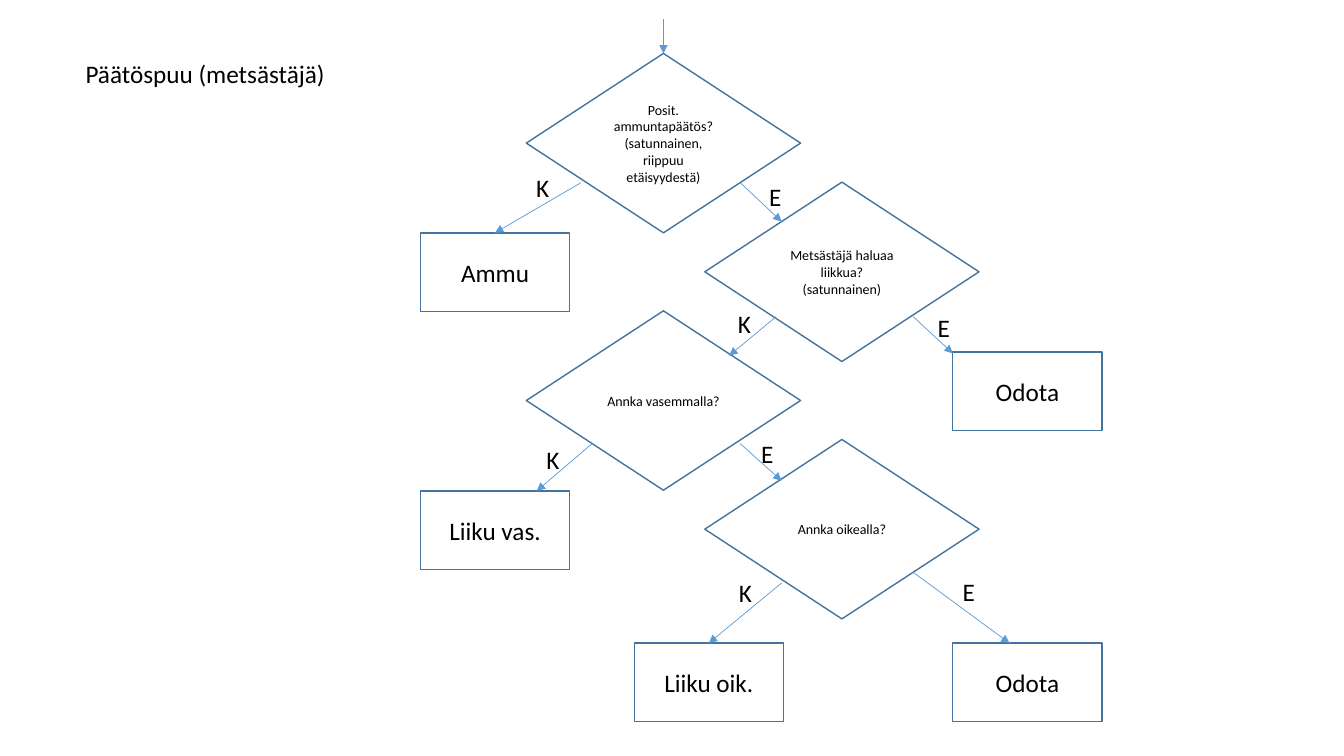
import pptx
import pptx.util
import pptx.dml.color
import pptx.enum.shapes
import pptx.enum.text
import pptx.oxml.ns
import lxml.etree

# Content
TITLE = "Päätöspuu (metsästäjä)"
FONT = "Calibri"
COLORS = {"text": "000000", "outline": "43739E", "arrow": "5B9BD5"}

# Questions: text, grid column, grid row
QUESTIONS = {
    "shoot?": ("Posit. ammuntapäätös? (satunnainen, riippuu etäisyydestä)", 0, 0),
    "move?": ("Metsästäjä haluaa liikkua? (satunnainen)", 1, 1),
    "left?": ("Annka vasemmalla?", 0, 2),
    "right?": ("Annka oikealla?", 1, 3),
}
# Actions: text, left, top
ACTIONS = {
    "shoot": ("Ammu", 4.17, 2.31),
    "go left": ("Liiku vas.", 4.17, 4.87),
    "go right": ("Liiku oik.", 6.29, 6.38),
    "wait early": ("Odota", 9.45, 3.49),
    "wait late": ("Odota", 9.45, 6.38),
}
# Branches: answer, label place, start node and end node,
# each node with the arrow's place as shares of its width and height
BRANCHES = [
    ("K", (5.22, 1.66), ("shoot?", 0.20, 0.72), ("shoot", 0.50, 0)),
    ("E", (7.53, 1.75), ("shoot?", 0.78, 0.72), ("move?", 0.28, 0.22)),
    ("K", (7.22, 3.01), ("move?", 0.26, 0.75), ("left?", 0.74, 0.25)),
    ("E", (9.20, 3.05), ("move?", 0.76, 0.75), ("wait early", 0, 0.02)),
    ("K", (5.32, 4.36), ("left?", 0.24, 0.74), ("go left", 0.78, 0)),
    ("E", (7.45, 4.30), ("left?", 0.78, 0.74), ("right?", 0.28, 0.23)),
    ("K", (7.23, 5.68), ("right?", 0.28, 0.80), ("go right", 0.50, 0)),
    ("E", (9.45, 5.67), ("right?", 0.76, 0.74), ("wait late", 0.38, 0)),
]

# Grid
GRID_LEFT, GRID_TOP = 5.22, 0.53
COL_STEP, ROW_STEP = 1.77, 3.83 / 3
QUESTION_SIZE = (2.72, 1.78)
ACTION_SIZE = (1.48, 0.78)
LABEL_SIZE = (0.22, 0.4)

inch = pptx.util.Inches
SHAPE = pptx.enum.shapes.MSO_SHAPE
ALIGN = pptx.enum.text.PP_ALIGN

prs = pptx.Presentation()
prs.slide_width, prs.slide_height = inch(13.33), inch(7.5)
s = prs.slides.add_slide(prs.slide_layouts[6])


def color(name):
    return pptx.dml.color.RGBColor.from_string(COLORS[name])


def write(sp, text, size, align):
    tf = sp.text_frame
    tf.word_wrap = True
    tf.text = text
    p = tf.paragraphs[0]
    p.alignment = align
    font = p.runs[0].font
    font.name, font.size = FONT, pptx.util.Pt(size)
    font.color.rgb = color("text")


def add_node(kind, box, text, size):
    sp = s.shapes.add_shape(kind, *map(inch, box))
    sp.shadow.inherit = False
    sp.fill.background()
    sp.line.color.rgb = color("outline")
    sp.line.width = pptx.util.Pt(1)
    sp.text_frame.vertical_anchor = pptx.enum.text.MSO_ANCHOR.MIDDLE
    write(sp, text, size, ALIGN.CENTER)


def add_label(box, text):
    write(s.shapes.add_textbox(*map(inch, box)), text, 18, ALIGN.LEFT)


def add_arrow(start, end):
    line = s.shapes.add_connector(
        pptx.enum.shapes.MSO_CONNECTOR.STRAIGHT, *map(inch, start + end))
    line.line.color.rgb = color("arrow")
    line.line.width = pptx.util.Pt(0.5)
    qn = pptx.oxml.ns.qn
    lxml.etree.SubElement(line.line._get_or_add_ln(), qn("a:tailEnd"), type="triangle")
    lxml.etree.SubElement(line._element.spPr, qn("a:effectLst"))


def point(node, across, down):
    left, top, width, height = boxes[node]
    return (left + across * width, top + down * height)


# Questions and actions
boxes = {}
for name, (text, col, row) in QUESTIONS.items():
    boxes[name] = (GRID_LEFT + col * COL_STEP, GRID_TOP + row * ROW_STEP) + QUESTION_SIZE
    add_node(SHAPE.FLOWCHART_DECISION, boxes[name], text, 10)
for name, (text, left, top) in ACTIONS.items():
    boxes[name] = (left, top) + ACTION_SIZE
    add_node(SHAPE.RECTANGLE, boxes[name], text, 18)

# Branches with their answers
for answer, place, start, end in BRANCHES:
    add_arrow(point(*start), point(*end))
    add_label(place + LABEL_SIZE, answer)

# Entry arrow and title
entry = point("shoot?", 0.5, 0)
add_arrow((entry[0], 0.19), entry)
add_label((0.75, 0.53, 3.96, 0.4), TITLE)

prs.save("out.pptx")
